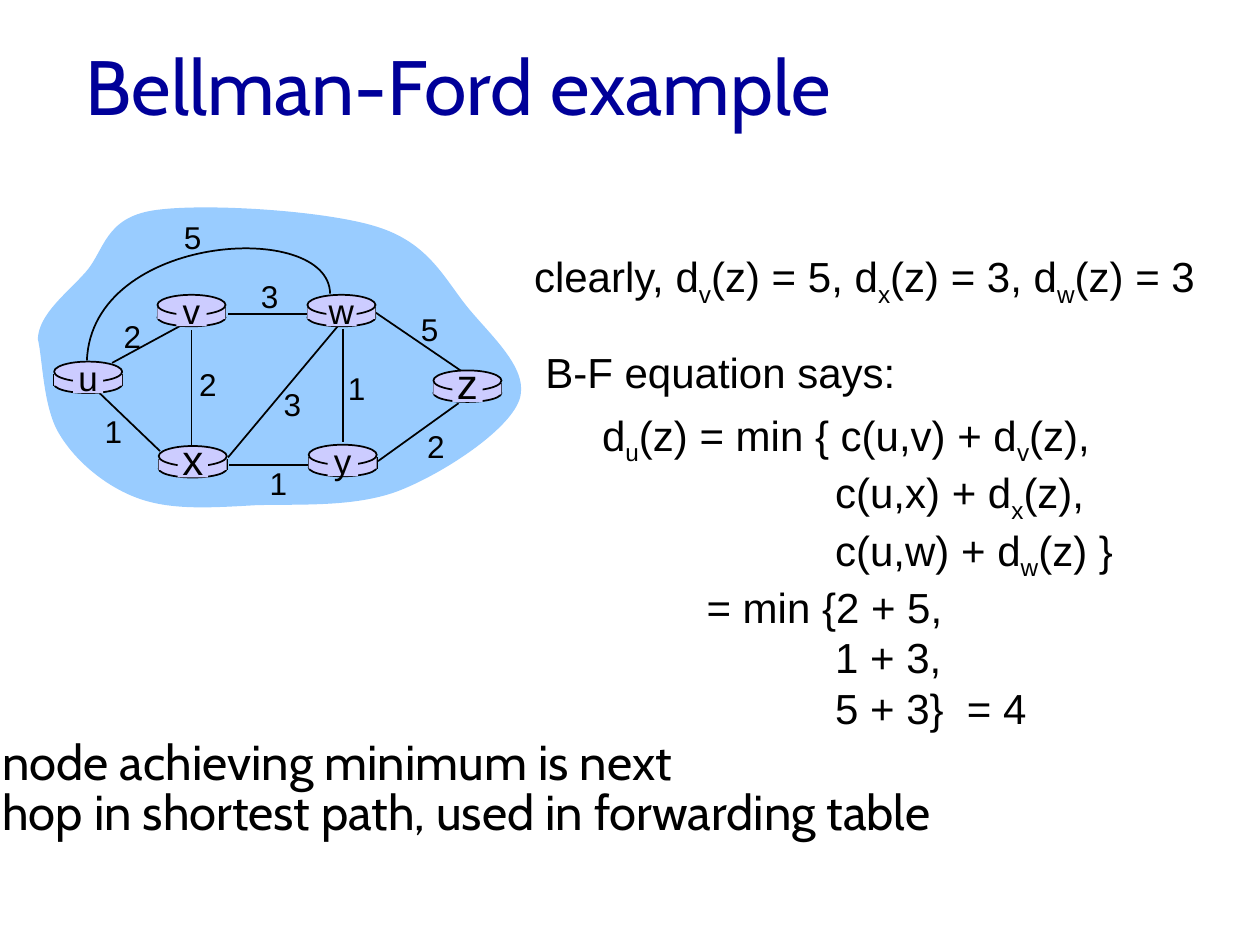
import pptx
import pptx.dml.color
import pptx.enum.shapes
import pptx.enum.text
import pptx.oxml.ns
import pptx.util
from lxml import etree
from pptx.util import Inches

SHAPES = pptx.enum.shapes.MSO_SHAPE
ALIGN = pptx.enum.text.PP_ALIGN
BLACK, NAVY, SKY, LILAC = "000000", "000099", "99CCFF", "CCCCFF"

TITLE = "Bellman-Ford example"

# Cubic curves: a start point, then (control, control, end) for each segment
CLOUD = [(0.3, 2.69),
         (0.31, 2.49), (0.53, 2.33), (0.68, 2.16),
         (0.83, 1.99), (0.83, 1.73), (1.22, 1.67),
         (1.61, 1.61), (2.58, 1.67), (2.99, 1.8),
         (3.41, 1.93), (3.53, 2.22), (3.72, 2.45),
         (3.91, 2.68), (4.21, 2.94), (4.12, 3.18),
         (4.03, 3.42), (3.53, 3.75), (3.18, 3.89),
         (2.83, 4.03), (2.37, 4), (2.03, 4.01),
         (1.68, 4.03), (1.37, 4.05), (1.11, 3.96),
         (0.85, 3.87), (0.61, 3.67), (0.48, 3.46),
         (0.34, 3.25), (0.34, 2.85), (0.3, 2.69)]
ARC_U_W = [(2.62, 2.33), (2.61, 1.74), (0.73, 1.85), (0.69, 2.86)]

# Name, left, top, label size
ROUTERS = [("u", 0.43, 2.87, 20), ("v", 1.25, 2.34, 20), ("w", 2.44, 2.34, 20),
           ("x", 1.26, 3.54, 24), ("y", 2.45, 3.53, 20), ("z", 3.44, 2.94, 24)]

# Start, end
LINKS = [((0.89, 2.88), (1.48, 2.56)), ((2.72, 2.61), (2.72, 3.51)),
         ((1.52, 2.62), (1.52, 3.55)), ((1.81, 3.63), (2.68, 2.59)),
         ((3, 3.66), (3.64, 3.2)), ((1.82, 3.69), (2.45, 3.69)),
         ((0.79, 3.12), (1.27, 3.58)), ((1.81, 2.49), (2.44, 2.49)),
         ((2.98, 2.48), (3.67, 2.95))]

# Cost, left, top of its label
COSTS = [("2", 0.88, 2.47), ("2", 1.48, 2.85), ("1", 0.73, 3.22), ("3", 2.15, 3.01),
         ("1", 2.04, 3.63), ("1", 2.66, 2.88), ("2", 3.29, 3.34), ("5", 3.24, 2.41),
         ("3", 1.97, 2.15), ("5", 1.36, 1.68)]

# Box, font, size, line spacing, lines of (indent, text); "_" makes the next letter a subscript
TEXTS = [
    ((4.14, 1.94, 5.6, 0.56), "Arial", 24, None,
     [(0, "clearly, d_v(z) = 5, d_x(z) = 3, d_w(z) = 3")]),
    ((4.68, 3.2, 4.9, 2.67), "Arial", 24, None,
     [(0, "d_u(z) = min { c(u,v) + d_v(z),"),
      (1.85, "c(u,x) + d_x(z),"),
      (1.85, "c(u,w) + d_w(z) }"),
      (0.83, "= min {2 + 5,"),
      (1.85, "1 + 3,"),
      (1.85, "5 + 3}  = 4")]),
    ((-0.08, 5.83, 8.58, 0.9), "Cabin", 28, 0.85,
     [(0, "node achieving minimum is next"),
      (0, "hop in shortest path, used in forwarding table")]),
    ((4.23, 2.7, 3.2, 0.5), "Arial", 24, None, [(0, "B-F equation says:")]),
]


def rgb(color):
    return pptx.dml.color.RGBColor.from_string(color)


def style_shape(shape, fill=None, line=None):
    shape.shadow.inherit = False
    if fill:
        shape.fill.solid()
        shape.fill.fore_color.rgb = rgb(fill)
    else:
        shape.fill.background()
    if line:
        shape.line.color.rgb = rgb(line)
        shape.line.width = pptx.util.Pt(1)
    else:
        shape.line.fill.background()


def style_runs(paragraph, font, size, color=BLACK):
    for run in paragraph.runs:
        run.font.name = font
        run.font.size = pptx.util.Pt(size)
        run.font.color.rgb = rgb(color)


def add_preset(slide, kind, box, line=None):
    shape = slide.shapes.add_shape(kind, *map(Inches, box))
    style_shape(shape, LILAC, line)


def add_line(slide, start, end):
    line = slide.shapes.add_connector(
        pptx.enum.shapes.MSO_CONNECTOR.STRAIGHT, *map(Inches, (*start, *end)))
    line.line.color.rgb = rgb(BLACK)
    line.line.width = pptx.util.Pt(1)
    etree.SubElement(line._element.spPr, pptx.oxml.ns.qn("a:effectLst"))


def add_curve(slide, points, closed, fill=None, line=None):
    """Build an outline through the points, then merge each three segments into a cubic one."""
    start, *others = [(Inches(x), Inches(y)) for x, y in points]
    builder = slide.shapes.build_freeform(*start)
    builder.add_line_segments(others, close=closed)
    shape = builder.convert_to_shape()
    segments = list(shape._element.iter(pptx.oxml.ns.qn("a:lnTo")))
    for first in range(0, len(segments), 3):
        cubic = etree.Element(pptx.oxml.ns.qn("a:cubicBezTo"))
        segments[first].addprevious(cubic)
        for segment in segments[first:first + 3]:
            cubic.append(segment[0])
            segment.getparent().remove(segment)
    style_shape(shape, fill, line)


def add_text(slide, box, font, size, spacing, lines, align=ALIGN.LEFT):
    frame = slide.shapes.add_textbox(*map(Inches, box)).text_frame
    frame.word_wrap = True
    for number, (indent, text) in enumerate(lines):
        paragraph = frame.add_paragraph() if number else frame.paragraphs[0]
        paragraph.alignment = align
        if spacing:
            paragraph.line_spacing = spacing
        if indent:
            paragraph._p.get_or_add_pPr().set("marL", str(Inches(indent)))
        plain, *rest = text.split("_")
        paragraph.text = plain
        for part in rest:
            subscript = paragraph.add_run()
            subscript.text = part[0]
            subscript._r.get_or_add_rPr().set("baseline", "-25000")
            paragraph.add_run().text = part[1:]
        style_runs(paragraph, font, size)


def add_router(slide, left, top, width=0.54):
    side_top, side_height = top + 0.1, 0.09
    add_preset(slide, SHAPES.OVAL, (left, top + 0.11, width, 0.14), BLACK)
    for x in (left, left + width):
        add_line(slide, (x, side_top), (x, side_top + side_height))
    add_preset(slide, SHAPES.RECTANGLE, (left, side_top, width, side_height))
    add_preset(slide, SHAPES.OVAL, (left, top, width, 0.16), BLACK)


def add_router_label(slide, name, left, top, size):
    add_preset(slide, SHAPES.RECTANGLE, (left + 0.15, top + 0.02, 0.24, 0.23))
    rise, height = (0.09, 0.44) if size == 20 else (0.15, 0.5)
    add_text(slide, (left + 0.07, top - rise, 0.4, height), "Arial", size, None,
             [(0, name)], ALIGN.CENTER)


def main():
    presentation = pptx.Presentation()
    presentation.slide_width, presentation.slide_height = Inches(10), Inches(7.5)
    slide = presentation.slides.add_slide(presentation.slide_layouts[5])

    title = slide.shapes.title
    title.left, title.top, title.width, title.height = map(Inches, (0.58, 0.19, 8.5, 0.96))
    title.text_frame.text = TITLE
    title.text_frame.vertical_anchor = pptx.enum.text.MSO_ANCHOR.MIDDLE
    title.text_frame.paragraphs[0].alignment = ALIGN.LEFT
    style_runs(title.text_frame.paragraphs[0], "Cabin", 44, NAVY)

    add_curve(slide, CLOUD, True, fill=SKY)
    for start, end in LINKS:
        add_line(slide, start, end)
    add_curve(slide, ARC_U_W, False, line=BLACK)
    for name, left, top, size in ROUTERS:
        add_router(slide, left, top)
        add_router_label(slide, name, left, top, size)
    for cost, left, top in COSTS:
        add_text(slide, (left, top, 0.34, 0.4), "Arial", 18, None, [(0, cost)], ALIGN.CENTER)
    for text in TEXTS:
        add_text(slide, *text)

    presentation.save("out.pptx")


if __name__ == "__main__":
    main()
